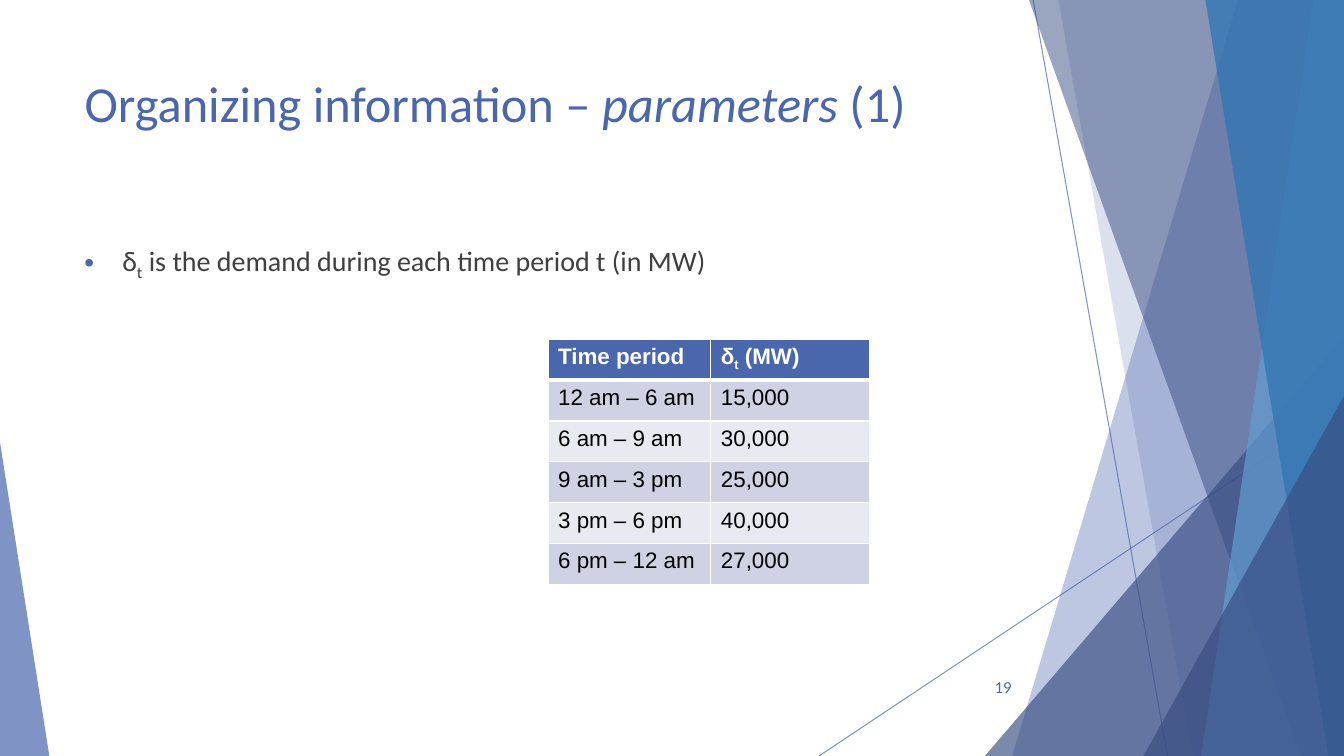
from collections import namedtuple
from dataclasses import dataclass

from lxml.etree import SubElement
from pptx import Presentation
from pptx.dml.color import RGBColor
from pptx.enum.shapes import MSO_CONNECTOR, MSO_SHAPE
from pptx.enum.text import MSO_ANCHOR, MSO_AUTO_SIZE, PP_ALIGN
from pptx.oxml.ns import qn
from pptx.util import Pt

SCALE = 9525
Box = namedtuple("Box", "left top width height")


@dataclass(frozen=True)
class Theme:
    """Colours, fonts and type sizes of the deck."""
    blue: str = "4A66AC"
    navy: str = "374C81"
    sky: str = "629DD1"
    ocean: str = "3477B2"
    ink: str = "3F3F3F"
    black: str = "000000"
    white: str = "FFFFFF"
    stripes: tuple = ("CED2E2", "E8EAF1")
    text_font: str = "Calibri"
    table_font: str = "Arial"
    title_size: int = 36
    body_size: int = 20
    table_size: int = 16
    number_size: int = 12


THEME = Theme()
DEMAND = [
    ("12 am – 6 am", "15,000"),
    ("6 am – 9 am", "30,000"),
    ("9 am – 3 pm", "25,000"),
    ("3 pm – 6 pm", "40,000"),
    ("6 pm – 12 am", "27,000"),
]


def px(*lengths):
    """Turn px lengths into EMU."""
    return [length * SCALE for length in lengths]


def fade(shape, opacity):
    """Make the colours of a shape partly transparent."""
    for colour in shape._element.spPr.iter(qn("a:srgbClr")):
        SubElement(colour, qn("a:alpha")).set("val", str(opacity * 1000))


def paint(shape, colour, opacity):
    """Give a shape a flat translucent fill without outline or shadow."""
    shape.shadow.inherit = False
    shape.fill.solid()
    shape.fill.fore_color.rgb = RGBColor.from_string(colour)
    shape.line.fill.background()
    fade(shape, opacity)


def add_ray(page, box, start, end):
    """Draw a thin line between two points of the box."""
    ray = page.shapes.add_connector(
        MSO_CONNECTOR.STRAIGHT,
        *px(box.left + start[0], box.top + start[1], box.left + end[0], box.top + end[1]))
    ray.line.color.rgb = RGBColor.from_string(THEME.blue)
    ray.line.width = Pt(0.75)
    fade(ray, 70)
    SubElement(ray._element.spPr, qn("a:effectLst"))


def add_band(page, box, top_x, bottom_x, colour, opacity):
    """Fill the box from a slanted left edge to its right side."""
    right, bottom = box.left + box.width, box.top + box.height
    outline = page.shapes.build_freeform(*px(box.left + top_x, box.top), scale=1.0)
    outline.add_line_segments([
        px(right, box.top), px(right, bottom), px(box.left + bottom_x, bottom)])
    paint(outline.convert_to_shape(), colour, opacity)


def add_corner(page, box, apex, colour, opacity):
    """Draw a right triangle with its apex at the left (0) or right (1)."""
    corner = page.shapes.add_shape(MSO_SHAPE.ISOSCELES_TRIANGLE, *px(*box))
    corner.adjustments[0] = apex
    paint(corner, colour, opacity)


def add_facets(page, box):
    """Layer the translucent facets on both sides of the page."""
    right, bottom = box.left + box.width, box.top + box.height
    add_ray(page, box, (984, 0), (1112, box.height))
    add_ray(page, box, (box.width, 387), (780, box.height))
    add_band(page, box, 1179, 964, THEME.blue, 36)
    add_band(page, box, 1008, 1136, THEME.blue, 20)
    add_corner(page, Box(right - 342, bottom - 400, 342, 400), 1, THEME.navy, 66)
    add_band(page, box, 980, 1239, THEME.navy, 50)
    add_band(page, box, 1251, 1144, THEME.sky, 70)
    add_band(page, box, 1148, 1265, THEME.ocean, 80)
    add_corner(page, Box(right - 191, bottom - 343, 191, 343), 1, THEME.navy, 66)
    add_corner(page, Box(box.left, bottom - 299, 47, 299), 0, THEME.blue, 70)


def style_font(para, name, size, colour, bold=False):
    """Set the font of a whole paragraph."""
    para.font.name = name
    para.font.size = Pt(size)
    para.font.bold = bold
    para.font.color.rgb = RGBColor.from_string(colour)


def prepare_frame(frame, anchor=MSO_ANCHOR.TOP):
    """Wrap a text frame at a fixed size and return its first paragraph."""
    frame.word_wrap = True
    frame.auto_size = MSO_AUTO_SIZE.NONE
    frame.vertical_anchor = anchor
    return frame.paragraphs[0]


def write_delta(para, rest):
    """Write delta with subscript t, then the rest of the text."""
    para.add_run().text = "δ"
    subscript = para.add_run()
    subscript.text = "t"
    subscript._r.get_or_add_rPr().set("baseline", "-25000")
    para.add_run().text = rest


def add_title(page, box):
    """Place and fill the title placeholder."""
    title = page.shapes.title
    title.left, title.top, title.width, title.height = px(*box)
    para = prepare_frame(title.text_frame)
    para.alignment = PP_ALIGN.LEFT
    style_font(para, THEME.text_font, THEME.title_size, THEME.blue)
    for words, italic in (("Organizing information – ", False), ("parameters ", True), ("(1)", False)):
        span = para.add_run()
        span.text = words
        span.font.italic = italic


def add_definition(page, box):
    """Add the bulleted definition of the demand parameter."""
    para = prepare_frame(page.shapes.add_textbox(*px(*box)).text_frame)
    properties = para._p.get_or_add_pPr()
    indent = px(36)[0]
    properties.set("marL", str(indent))
    properties.set("indent", str(-indent))
    bullet_colour = SubElement(properties, qn("a:buClr"))
    SubElement(bullet_colour, qn("a:srgbClr")).set("val", THEME.blue)
    SubElement(properties, qn("a:buFont")).set("typeface", THEME.table_font)
    SubElement(properties, qn("a:buChar")).set("char", "•")
    style_font(para, THEME.text_font, THEME.body_size, THEME.ink)
    write_delta(para, " is the demand during each time period t (in MW)")


def add_number(page, box):
    """Add the page number."""
    frame = page.shapes.add_textbox(*px(*box)).text_frame
    para = prepare_frame(frame, MSO_ANCHOR.MIDDLE)
    para.alignment = PP_ALIGN.RIGHT
    para.text = "19"
    style_font(para, THEME.text_font, THEME.number_size, THEME.blue)


def style_cell(cell, fill, bottom_width):
    """Give a cell white borders and a flat fill."""
    properties = cell._tc.get_or_add_tcPr()
    for side, width in (("L", 1), ("R", 1), ("T", 1), ("B", bottom_width)):
        border = SubElement(properties, qn(f"a:ln{side}"), w=str(Pt(width)))
        paint_node = SubElement(border, qn("a:solidFill"))
        SubElement(paint_node, qn("a:srgbClr")).set("val", THEME.white)
    cell.fill.solid()
    cell.fill.fore_color.rgb = RGBColor.from_string(fill)


def add_demand_table(page, box):
    """Add the table of demand by time period."""
    rows = [("Time period", " (MW)"), *DEMAND]
    table = page.shapes.add_table(len(rows), 2, *px(*box)).table
    first_width = 155
    table.columns[0].width, table.columns[1].width = px(first_width, box.width - first_width)
    for row, values in enumerate(rows):
        header = row == 0
        for column, value in enumerate(values):
            cell = table.cell(row, column)
            style_cell(cell, THEME.blue if header else THEME.stripes[(row - 1) % 2], 3 if header else 1)
            para = cell.text_frame.paragraphs[0]
            style_font(para, THEME.table_font, THEME.table_size,
                       THEME.white if header else THEME.black, header)
            if header and column == 1:
                write_delta(para, value)
            else:
                para.add_run().text = value


def main():
    """Build and save the deck."""
    deck = Presentation()
    deck.slide_width, deck.slide_height = px(1280, 720)
    page = deck.slides.add_slide(deck.slide_layouts[5])
    add_facets(page, Box(0, 0, 1280, 720))
    add_title(page, Box(71, 64, 902, 138))
    add_definition(page, Box(71, 227, 902, 70))
    add_number(page, Box(901, 635, 72, 38))
    add_demand_table(page, Box(522, 323, 306, 234))
    deck.save("out.pptx")


if __name__ == "__main__":
    main()
